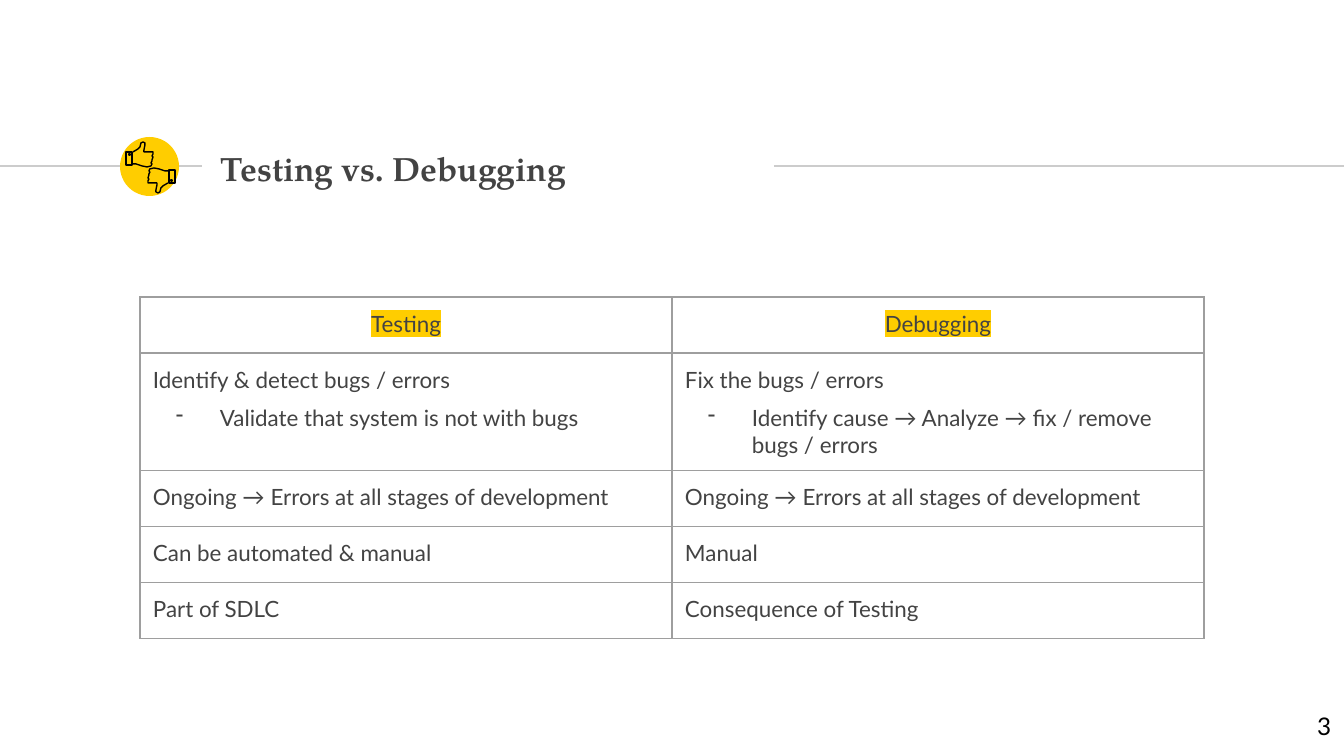
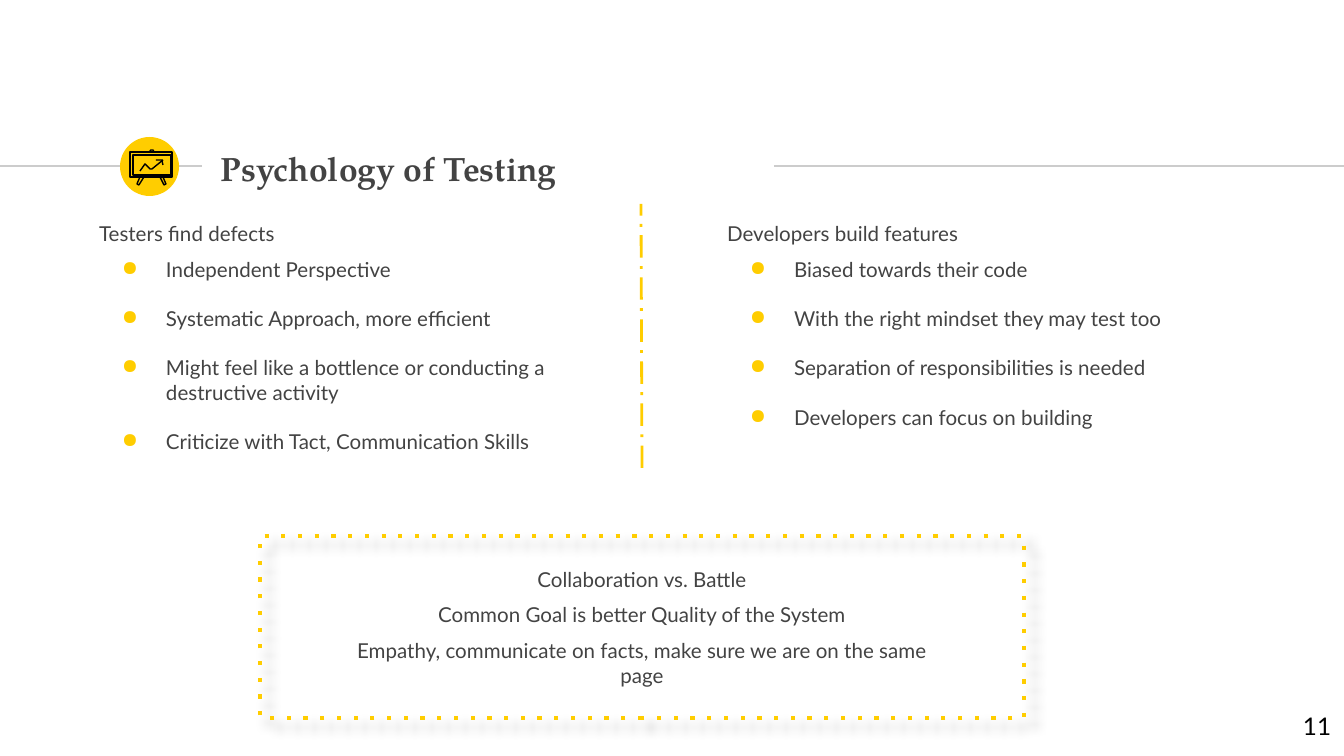
"""Builds two slides on software testing with a shared title band and page number."""
from dataclasses import dataclass

import lxml.etree
import pptx
import pptx.dml.color
import pptx.enum.dml
import pptx.enum.shapes
import pptx.enum.text
import pptx.oxml.ns
import pptx.shapes.base
import pptx.slide
import pptx.text.text
import pptx.util

EMU_PER_PIXEL = 9144000 / 1344
WIDTH, HEIGHT = 1344, 756
INSET = 13
BODY_FONT, TITLE_FONT = "Lato", "TeX Gyre Pagella"
COLORS = {
    "accent": "FFCD00",
    "text": "434343",
    "rule": "CCCCCC",
    "border": "9E9E9E",
    "ink": "000000",
}
ALIGN = pptx.enum.text.PP_ALIGN
ANCHOR = pptx.enum.text.MSO_ANCHOR
Point = tuple[int, int]


@dataclass(frozen=True)
class Box:
    left: int
    top: int
    width: int
    height: int

    def emu(self) -> list[pptx.util.Emu]:
        return [px(value) for value in (self.left, self.top, self.width, self.height)]


@dataclass(frozen=True)
class Style:
    size: int
    color: str = "text"
    font: str = BODY_FONT
    bold: bool = False
    align: ALIGN = ALIGN.LEFT


@dataclass(frozen=True)
class Line:
    text: str
    before: float = 6
    bullet: str = ""
    bullet_color: str = "text"
    highlight: str = ""


@dataclass(frozen=True)
class Stroke:
    points: tuple[Point, ...]
    closed: bool = False


TITLE_STYLE = Style(18, font=TITLE_FONT, bold=True)
NUMBER_STYLE = Style(13, "ink", align=ALIGN.RIGHT)
CELL_STYLE = Style(12)
HEADER_STYLE = Style(12, align=ALIGN.CENTER)
LIST_STYLE = Style(11)
SUMMARY_STYLE = Style(11, align=ALIGN.CENTER)

TITLE_BOX = Box(208, 136, 570, 65)
NUMBER_BOX = Box(1263, 698, 81, 58)
BADGE = Box(120, 137, 59, 59)
RULE_Y = 166

CUFF = Stroke(((126, 152), (126, 165), (132, 165), (132, 152)), True)
HAND = Stroke((
    (133, 164), (136, 164), (142, 166), (147, 167), (151, 166), (152, 164),
    (151, 163), (152, 161), (152, 160), (153, 157), (152, 156), (153, 154),
    (153, 152), (151, 152), (144, 152), (144, 150), (145, 145), (145, 143),
    (143, 142), (141, 143), (140, 147), (138, 149), (133, 152),
))
BUTTON = Stroke(((129, 154), (130, 154), (130, 155), (129, 155)), True)
THUMB = (CUFF, HAND, BUTTON)
BOARD = (
    Stroke(((130, 152), (172, 152), (172, 177), (130, 177)), True),
    Stroke(((133, 155), (171, 155), (171, 175), (133, 175)), True),
    Stroke(((150, 152), (150, 151), (151, 150), (153, 150), (154, 152))),
    Stroke(((140, 177), (137, 184), (139, 185), (144, 177))),
    Stroke(((160, 177), (164, 185), (166, 184), (163, 177))),
    Stroke(((163, 160), (152, 169), (150, 169), (145, 164), (140, 171))),
    Stroke(((156, 160), (162, 160), (163, 165))),
)

COMPARISON = (
    (("Testing",), ("Debugging",)),
    (
        ("Identify & detect bugs / errors", "Validate that system is not with bugs"),
        ("Fix the bugs / errors", "Identify cause → Analyze → fix / remove bugs / errors"),
    ),
    (("Ongoing → Errors at all stages of development",),) * 2,
    (("Can be automated & manual",), ("Manual",)),
    (("Part of SDLC",), ("Consequence of Testing",)),
)
ROLES = (
    (86, "Testers find defects", (
        "Independent Perspective",
        "Systematic Approach, more efficient",
        "Might feel like a bottlence or conducting a destructive activity",
        "Criticize with Tact, Communication Skills",
    )),
    (714, "Developers build features", (
        "Biased towards their code",
        "With the right mindset they may test too",
        "Separation of responsibilities is needed",
        "Developers can focus on building",
    )),
)
SUMMARY = (
    "Collaboration vs. Battle",
    "Common Goal is better Quality of the System",
    "Empathy, communicate on facts, make sure we are on the same page",
)


def px(value: float) -> pptx.util.Emu:
    return pptx.util.Emu(round(value * EMU_PER_PIXEL))


def rgb(name: str) -> pptx.dml.color.RGBColor:
    return pptx.dml.color.RGBColor.from_string(COLORS[name])


def child(parent: lxml.etree._Element, tag: str, **attributes: object) -> lxml.etree._Element:
    values = {key: str(value) for key, value in attributes.items()}
    return lxml.etree.SubElement(parent, pptx.oxml.ns.qn(f"a:{tag}"), values)


def set_line(shape: pptx.shapes.base.BaseShape, color: str, width: float) -> None:
    shape.line.color.rgb = rgb(color)
    shape.line.width = pptx.util.Pt(width)


def write(frame: pptx.text.text.TextFrame, lines: list[Line], style: Style) -> None:
    for index, line in enumerate(lines):
        paragraph = frame.add_paragraph() if index else frame.paragraphs[0]
        run = paragraph.add_run()
        run.text = line.text
        if line.highlight:
            highlight = child(run._r.get_or_add_rPr(), "highlight")
            child(highlight, "srgbClr", val=COLORS[line.highlight])
        if line.bullet:
            properties = paragraph._p.get_or_add_pPr()
            properties.set("marL", str(px(67)))
            properties.set("indent", str(px(-44)))
            child(child(properties, "buClr"), "srgbClr", val=COLORS[line.bullet_color])
            child(properties, "buChar", char=line.bullet)
        paragraph.alignment = style.align
        paragraph.space_before = pptx.util.Pt(line.before)
        paragraph.font.name = style.font
        paragraph.font.size = pptx.util.Pt(style.size)
        paragraph.font.bold = style.bold
        paragraph.font.color.rgb = rgb(style.color)


def add_text(slide: pptx.slide.Slide, box: Box, lines: list[Line], style: Style,
             anchor: ANCHOR = ANCHOR.TOP) -> None:
    frame = slide.shapes.add_textbox(*box.emu()).text_frame
    frame.word_wrap = True
    frame.vertical_anchor = anchor
    frame.margin_left = frame.margin_right = px(INSET)
    frame.margin_top = frame.margin_bottom = px(INSET)
    write(frame, lines, style)


def add_line(slide: pptx.slide.Slide, start: Point, end: Point, color: str,
             width: float) -> pptx.shapes.base.BaseShape:
    connector = slide.shapes.add_connector(
        pptx.enum.shapes.MSO_CONNECTOR.STRAIGHT, *map(px, start + end))
    set_line(connector, color, width)
    child(connector._element.spPr, "effectLst")
    return connector


def add_icon(slide: pptx.slide.Slide, strokes: tuple[Stroke, ...]) -> None:
    for stroke in strokes:
        builder = slide.shapes.build_freeform(*stroke.points[0], scale=EMU_PER_PIXEL)
        builder.add_line_segments(stroke.points[1:], close=stroke.closed)
        shape = builder.convert_to_shape()
        shape.shadow.inherit = False
        shape.fill.background()
        set_line(shape, "ink", 0.75)


def turned(stroke: Stroke) -> Stroke:
    return Stroke(tuple((301 - x, 335 - y) for x, y in stroke.points), stroke.closed)


def add_base(presentation: pptx.presentation.Presentation, title: str, number: int,
             icon: tuple[Stroke, ...]) -> pptx.slide.Slide:
    slide = presentation.slides.add_slide(presentation.slide_layouts[6])
    add_line(slide, (0, RULE_Y), (202, RULE_Y), "rule", 0.75)
    badge = slide.shapes.add_shape(pptx.enum.shapes.MSO_SHAPE.OVAL, *BADGE.emu())
    badge.shadow.inherit = False
    badge.fill.solid()
    badge.fill.fore_color.rgb = rgb("accent")
    badge.line.fill.background()
    add_line(slide, (774, RULE_Y), (WIDTH, RULE_Y), "rule", 0.75)
    add_text(slide, NUMBER_BOX, [Line(str(number), 0)], NUMBER_STYLE)
    add_text(slide, TITLE_BOX, [Line(title, 0)], TITLE_STYLE, ANCHOR.MIDDLE)
    add_icon(slide, icon)
    return slide


def add_comparison(slide: pptx.slide.Slide) -> None:
    row_height, column_width = 56, 532
    box = Box(140, 297, 2 * column_width, row_height * len(COMPARISON))
    table = slide.shapes.add_table(len(COMPARISON), 2, *box.emu()).table
    table.first_row = table.horz_banding = False
    for column in table.columns:
        column.width = px(column_width)
    for row_index, row in enumerate(COMPARISON):
        table.rows[row_index].height = px(row_height)
        for column_index, (heading, *details) in enumerate(row):
            cell = table.cell(row_index, column_index)
            cell.margin_left = cell.margin_right = px(INSET)
            cell.margin_top = cell.margin_bottom = px(INSET)
            for side in ("lnL", "lnR", "lnT", "lnB"):
                border = child(cell._tc.get_or_add_tcPr(), side, w=pptx.util.Pt(0.75))
                child(child(border, "solidFill"), "srgbClr", val=COLORS["border"])
            cell.fill.background()
            is_header = row_index == 0
            lines = [Line(heading, highlight="accent" if is_header else "")]
            lines += [Line(detail, bullet="-") for detail in details]
            write(cell.text_frame, lines, HEADER_STYLE if is_header else CELL_STYLE)


def add_roles(slide: pptx.slide.Slide) -> None:
    for left, heading, items in ROLES:
        lines = [Line(heading)]
        lines += [Line(item, 13.2 if index else 6, "●", "accent")
                  for index, item in enumerate(items)]
        add_text(slide, Box(left, 208, 555, 300), lines, LIST_STYLE)


def add_summary(slide: pptx.slide.Slide) -> None:
    frame = slide.shapes.add_shape(
        pptx.enum.shapes.MSO_SHAPE.RECTANGLE, *Box(260, 536, 764, 182).emu())
    frame.fill.background()
    set_line(frame, "accent", 2.25)
    frame.shadow.inherit = False
    properties = frame._element.spPr
    child(properties.find(pptx.oxml.ns.qn("a:ln")), "prstDash", val="dot")
    shadow = child(properties.find(pptx.oxml.ns.qn("a:effectLst")), "outerShdw",
                   blurRad=pptx.util.Pt(6), dist=pptx.util.Pt(6.8),
                   dir=44 * 60000, algn="bl", rotWithShape=0)
    child(child(shadow, "srgbClr", val=COLORS["ink"]), "alpha", val=50000)
    divider = add_line(slide, (642, 468), (641, 204), "accent", 1.5)
    divider.line.dash_style = pptx.enum.dml.MSO_LINE.LONG_DASH_DOT
    add_text(slide, Box(334, 543, 616, 168), [Line(text) for text in SUMMARY],
             SUMMARY_STYLE, ANCHOR.MIDDLE)


def main() -> None:
    presentation = pptx.Presentation()
    presentation.slide_width, presentation.slide_height = px(WIDTH), px(HEIGHT)
    thumbs = THUMB + tuple(turned(stroke) for stroke in THUMB)
    add_comparison(add_base(presentation, "Testing vs. Debugging", 3, thumbs))
    psychology = add_base(presentation, "Psychology of Testing", 11, BOARD)
    add_roles(psychology)
    add_summary(psychology)
    presentation.save("out.pptx")


main()
